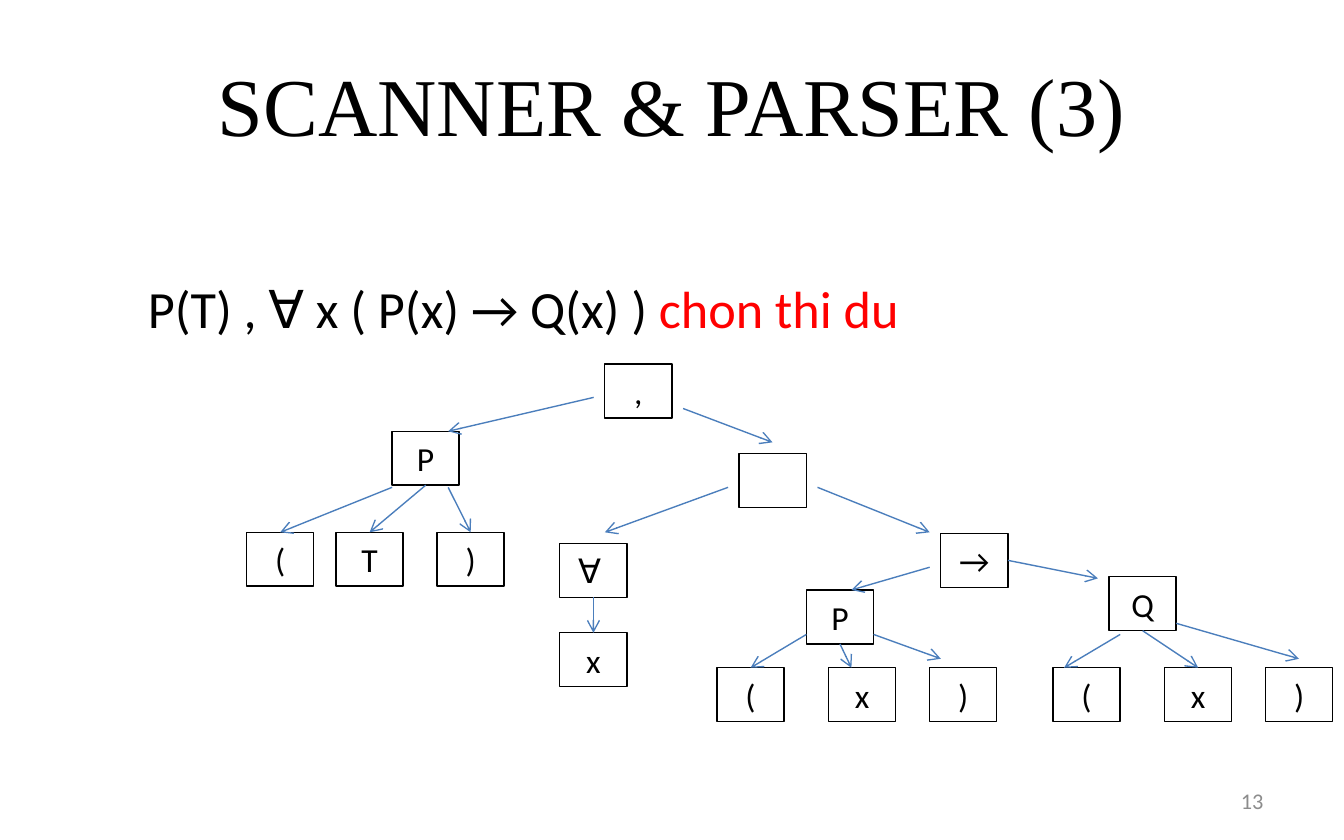
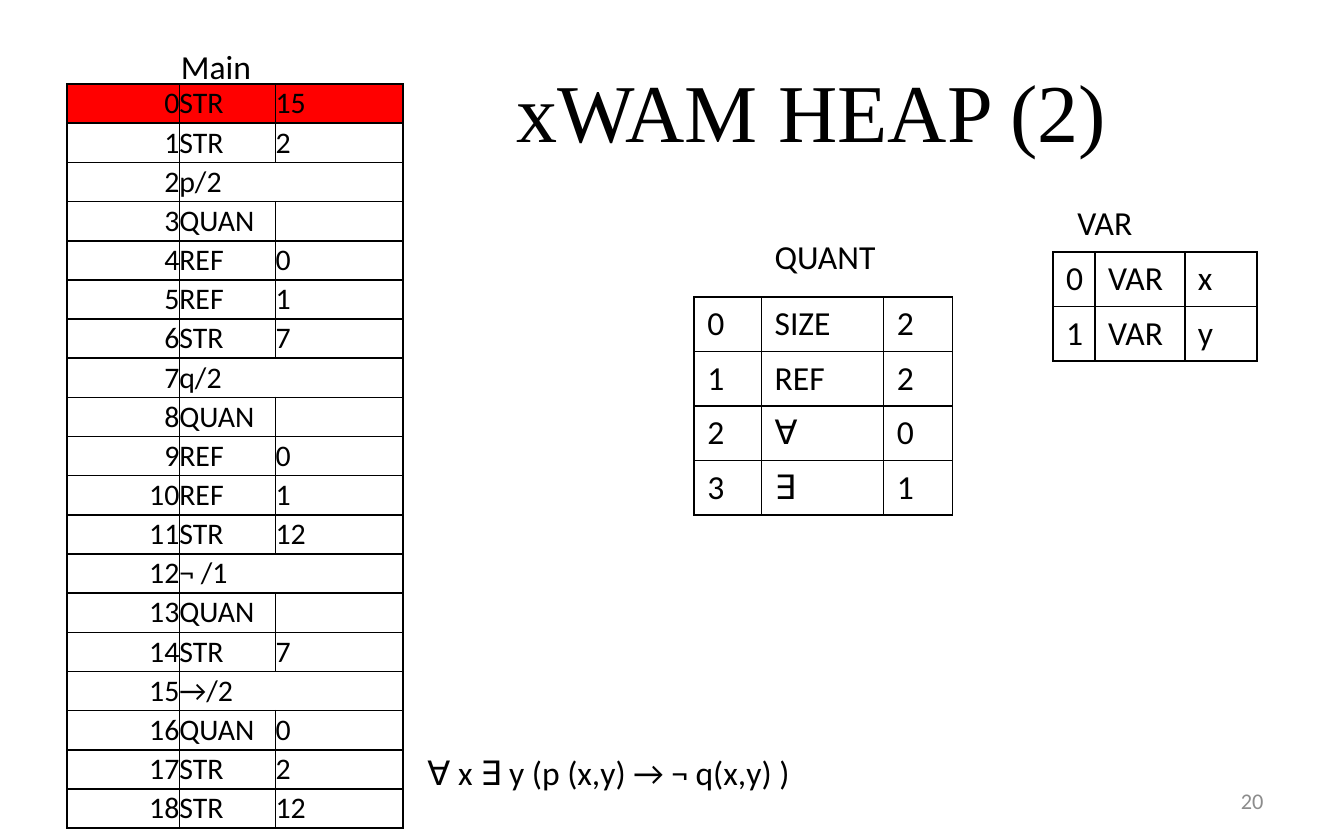
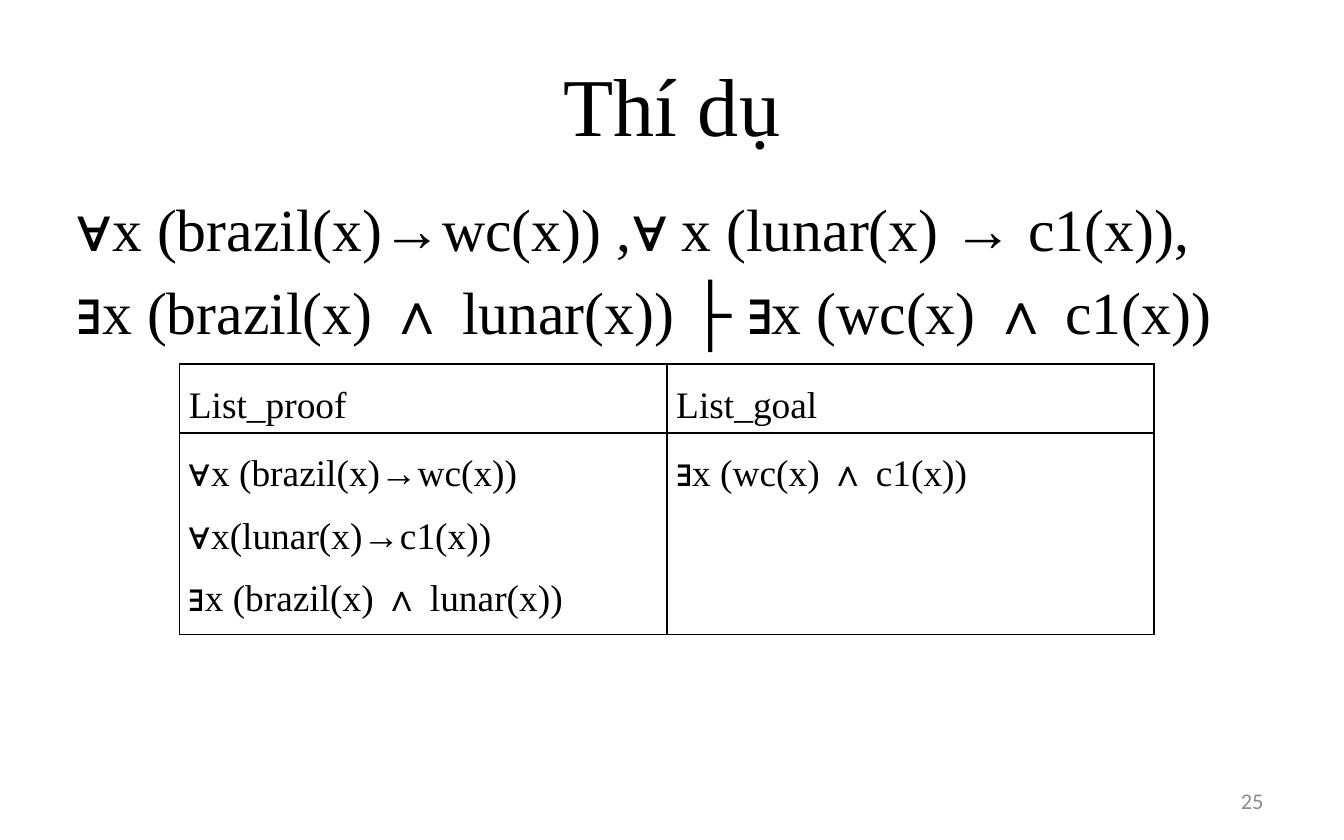
from lxml.etree import SubElement
from pptx import Presentation
from pptx.dml.color import RGBColor
from pptx.enum.shapes import MSO_CONNECTOR as Connector, MSO_SHAPE as Shape
from pptx.enum.text import MSO_ANCHOR as Anchor, MSO_AUTO_SIZE as AutoSize, PP_ALIGN as Align
from pptx.oxml.ns import qn
from pptx.util import Cm, Pt

SLIDE_WIDTH = 25.4
NODE_WIDTH, NODE_HEIGHT = 1.27, 1.02
TOP, BOTTOM, RIGHT = 0, 2, 3
TITLE_AND_CONTENT, TITLE_ONLY = 1, 5
SERIF, SANS = "Times New Roman", "Calibri"
BLACK, WHITE, RED, GRAY, BLUE = "000000", "FFFFFF", "FF0000", "8C8C8C", "4B7EBC"


def rgb(color):
    return RGBColor.from_string(color)


def lengths(*values):
    return [Cm(value) for value in values]


def format_run(run, font, size, color=BLACK):
    run.font.name = font
    run.font.size = Pt(size)
    run.font.color.rgb = rgb(color)


def format_text(text_frame, font, size, color=BLACK, align=None, line_spacing=None):
    for paragraph in text_frame.paragraphs:
        paragraph.alignment = align
        paragraph.line_spacing = line_spacing
        for run in paragraph.runs:
            format_run(run, font, size, color)
        if not paragraph.runs:
            # An empty line takes its height from its end mark.
            SubElement(paragraph._p, qn("a:endParaRPr"), sz=str(size * 100))


def add_cell_borders(cell):
    properties = cell._tc.get_or_add_tcPr()
    for index, side in enumerate(("lnL", "lnR", "lnT", "lnB")):
        line = properties.makeelement(qn(f"a:{side}"), {"w": str(Pt(1))})
        SubElement(SubElement(line, qn("a:solidFill")), qn("a:srgbClr"), val=BLACK)
        properties.insert(index, line)


class Deck:
    """Holds the shared style and the slide being built."""

    def __init__(self):
        self.presentation = Presentation()
        self.presentation.slide_width = Cm(SLIDE_WIDTH)
        self.presentation.slide_height = Cm(SLIDE_WIDTH * 5 / 8)

    def place(self, shape, box):
        shape.left, shape.top, shape.width, shape.height = lengths(*box)

    def new_slide(self, layout, title, number, box=(1.27, 0.64, 22.86, 2.65),
                  align=Align.CENTER):
        self.slide = self.presentation.slides.add_slide(
            self.presentation.slide_layouts[layout])
        shape = self.slide.shapes.title
        self.place(shape, box)
        shape.text_frame.text = title
        shape.text_frame.auto_size = AutoSize.NONE
        format_text(shape.text_frame, SERIF, 44, align=align)
        self.text((18.2, 14.71, 5.93, 0.85), number, 12, GRAY, Align.RIGHT, Anchor.MIDDLE)

    def body(self, box, lines, font, size, indent, margin_top=0.13):
        shape = self.slide.placeholders[1]
        self.place(shape, box)
        text_frame = shape.text_frame
        text_frame.text = "\n".join(lines)
        text_frame.auto_size = AutoSize.NONE
        text_frame.margin_top = Cm(margin_top)
        for paragraph in text_frame.paragraphs:
            properties = paragraph._p.get_or_add_pPr()
            properties.set("marL", str(Cm(indent)))
            properties.set("indent", "0")
            SubElement(properties, qn("a:buNone"))
        text_frame.paragraphs[0].space_before = Pt(0)
        format_text(text_frame, font, size)
        return text_frame

    def text(self, box, text, size=18, color=BLACK, align=None, anchor=Anchor.TOP):
        text_frame = self.slide.shapes.add_textbox(*lengths(*box)).text_frame
        text_frame.word_wrap = True
        text_frame.vertical_anchor = anchor
        text_frame.text = text
        format_text(text_frame, SANS, size, color, align)

    def node(self, text, left, top):
        shape = self.slide.shapes.add_shape(
            Shape.RECTANGLE, *lengths(left, top, NODE_WIDTH, NODE_HEIGHT))
        shape.shadow.inherit = False
        shape.fill.background()
        shape.line.color.rgb = rgb(BLACK)
        shape.line.width = Pt(0.75)
        if text:
            shape.text_frame.text = text
            format_text(shape.text_frame, SANS, 18, align=Align.CENTER)
        return shape

    def arrow(self, start, end, nodes):
        """Each end is a point or a (node name, side) pair."""
        points = [(0, 0) if isinstance(tip[0], str) else tip for tip in (start, end)]
        connector = self.slide.shapes.add_connector(
            Connector.STRAIGHT, *lengths(*points[0], *points[1]))
        for tip, connect in ((start, connector.begin_connect), (end, connector.end_connect)):
            if isinstance(tip[0], str):
                connect(nodes[tip[0]], tip[1])
        connector.line.color.rgb = rgb(BLUE)
        connector.line.width = Pt(0.75)
        properties = connector._element.spPr
        SubElement(properties.find(qn("a:ln")), qn("a:tailEnd"), type="arrow")
        SubElement(properties, qn("a:effectLst"))

    def table(self, left, top, widths, heights, rows, font=SANS, size=18,
              margins=(0.25, 0.13), anchor=Anchor.TOP, aligns=None,
              line_spacing=None, row_fills=None):
        """A row shorter than the table lets its last cell span the rest."""
        table = self.slide.shapes.add_table(
            len(rows), len(widths), *lengths(left, top, sum(widths), sum(heights))).table
        table.first_row = table.horz_banding = False
        for column, width in zip(table.columns, widths):
            column.width = Cm(width)
        for row, height in zip(table.rows, heights):
            row.height = Cm(height)
        for r, texts in enumerate(rows):
            for c in range(len(widths)):
                cell = table.cell(r, c)
                cell.text_frame.text = texts[c] if c < len(texts) else ""
                cell.margin_left = cell.margin_right = Cm(margins[0])
                cell.margin_top = cell.margin_bottom = Cm(margins[1])
                cell.vertical_anchor = anchor
                cell.fill.solid()
                cell.fill.fore_color.rgb = rgb((row_fills or {}).get(r, WHITE))
                add_cell_borders(cell)
                format_text(cell.text_frame, font, size, BLACK,
                            aligns[c] if aligns else None, line_spacing)
            if len(texts) < len(widths):
                table.cell(r, len(texts) - 1).merge(table.cell(r, len(widths) - 1))


def build_parser_slide(deck):
    deck.new_slide(TITLE_AND_CONTENT, "SCANNER & PARSER (3)", "13")
    text_frame = deck.body((1.27, 3.7, 22.86, 11.43), ["P(T) , ∀ x ( P(x) → Q(x) ) "],
                           SANS, 28, indent=1.27, margin_top=1.52)
    remark = text_frame.paragraphs[0].add_run()
    remark.text = "chon thi du"
    format_run(remark, SANS, 28, RED)

    left_leaves, right_leaves = 10.06, 12.62
    tree = {
        "comma": (",", 11.43, 6.88),
        "fact": ("P", 7.41, 8.15),
        "fact open": ("(", 4.66, left_leaves),
        "fact term": ("T", 6.35, left_leaves),
        "fact close": (")", 8.26, left_leaves),
        "rule": ("", 13.97, 8.57),
        "for all": ("∀ ", 10.58, 10.27),
        "variable": ("x", 10.58, 11.96),
        "implies": ("→", 17.78, 10.08),
        "premise": ("P", 15.24, 11.15),
        "premise open": ("(", 13.55, right_leaves),
        "premise term": ("x", 15.66, right_leaves),
        "premise close": (")", 17.57, right_leaves),
        "conclusion": ("Q", 20.96, 10.9),
        "conclusion open": ("(", 19.9, right_leaves),
        "conclusion term": ("x", 22.01, right_leaves),
        "conclusion close": (")", 23.92, right_leaves),
    }
    nodes = {name: deck.node(*node) for name, node in tree.items()}
    arrows = [
        ((11.22, 7.51), (8.47, 8.15)),
        ((12.91, 7.72), (14.6, 8.36)),
        ((7.41, 9.21), ("fact open", TOP)),
        (("fact", BOTTOM), ("fact term", TOP)),
        ((8.47, 9.21), ("fact close", TOP)),
        ((13.76, 9.21), (11.43, 10.06)),
        ((15.45, 9.21), (17.57, 10.06)),
        (("for all", BOTTOM), ("variable", TOP)),
        ((17.57, 10.72), (16.09, 11.15)),
        (("implies", RIGHT), (20.75, 10.93)),
        ((15.24, 11.99), ("premise open", TOP)),
        (("premise", BOTTOM), (16.09, 12.62)),
        ((16.51, 11.99), (17.78, 12.45)),
        ((21.17, 11.99), (20.11, 12.62)),
        (("conclusion", BOTTOM), ("conclusion term", TOP)),
        ((22.23, 11.78), (24.55, 12.45)),
    ]
    for start, end in arrows:
        deck.arrow(start, end, nodes)


def build_heap_slide(deck):
    deck.new_slide(TITLE_ONLY, "xWAM HEAP (2)", "20", (8.68, 0.74, 12.49, 2.65), Align.RIGHT)
    heap = [
        ("STR", "15"), ("STR", "2"), ("p/2",), ("QUAN", ""), ("REF", "0"),
        ("REF", "1"), ("STR", "7"), ("q/2",), ("QUAN", ""), ("REF", "0"),
        ("REF", "1"), ("STR", "12"), ("¬ /1",), ("QUAN", ""), ("STR", "7"),
        ("→/2",), ("QUAN", "0"), ("STR", "2"), ("STR", "12"),
    ]
    deck.table(1.27, 1.59, (2.12, 1.82, 2.41), [0.74] * len(heap),
               [(str(address), *entry) for address, entry in enumerate(heap)],
               size=16, margins=(0, 0), anchor=Anchor.MIDDLE,
               aligns=(Align.RIGHT, Align.LEFT, Align.LEFT), row_fills={0: RED})
    quantifiers = [("0", "SIZE", "2"), ("1", "REF", "2"), ("2", "∀", "0"), ("3", "∃", "1")]
    deck.table(13.12, 5.61, (1.27, 2.31, 1.3), [1.03] * len(quantifiers), quantifiers)
    variables = [("0", "VAR", "x"), ("1", "VAR", "y")]
    deck.table(19.9, 4.76, (0.79, 1.7, 1.37), [1.03] * len(variables), variables)
    for text, left, top, width in (
        ("∀ x ∃ y (p (x,y) → ¬ q(x,y) )", 7.83, 14.08, 9.74),
        ("Main", 3.17, 0.74, 2.33),
        ("VAR", 20.11, 3.7, 1.9),
        ("QUANT", 14.39, 4.34, 2.54),
    ):
        deck.text((left, top, width, 1.02), text)


def build_example_slide(deck):
    deck.new_slide(TITLE_AND_CONTENT, "Thí dụ", "25")
    deck.body((0.64, 3.49, 24.77, 10.48),
              ["∀x (brazil(x)→wc(x)) ,∀ x (lunar(x) → c1(x)),",
               "∃x (brazil(x) ∧ lunar(x)) ├ ∃x (wc(x) ∧ c1(x))"],
              SERIF, 32, indent=0.56)
    proof = "∀x (brazil(x)→wc(x))\n∀x(lunar(x)→c1(x))\n∃x (brazil(x) ∧ lunar(x))"
    deck.table(3.39, 6.88, (9.21, 9.21), (1.3, 1.47),
               [("List_proof", "List_goal"), (proof, "∃x (wc(x) ∧ c1(x))")],
               font=SERIF, size=20, margins=(0.18, 0),
               aligns=[Align.JUSTIFY] * 2, line_spacing=1.5)


def main():
    deck = Deck()
    build_parser_slide(deck)
    build_heap_slide(deck)
    build_example_slide(deck)
    deck.presentation.save("out.pptx")


if __name__ == "__main__":
    main()
